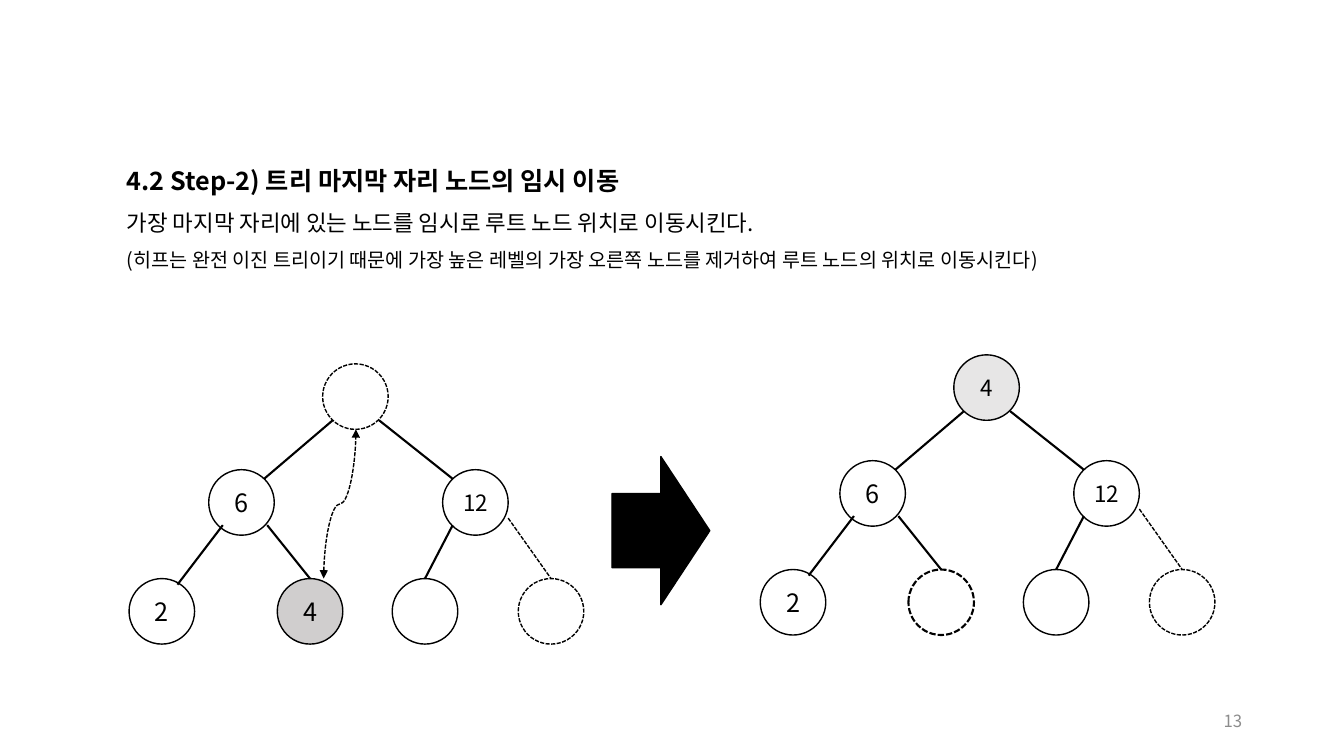
import pptx
import pptx.util
import pptx.dml.color
import pptx.enum.dml
import pptx.enum.shapes
import pptx.enum.text
import pptx.oxml.ns
import lxml.etree

PX = 9144  # 100 px to the inch
FONT = "Noto Sans CJK KR"
HUES = {"ink": "000000", "white": "FFFFFF", "grey": "D0CECE",
        "pale": "E7E6E6", "page": "8C8C8C"}

INTRO = [
    ("4.2 Step-2) 트리 마지막 자리 노드의 임시 이동", 18, True),
    ("가장 마지막 자리에 있는 노드를 임시로 루트 노드 위치로 이동시킨다.", 16, False),
    ("(히프는 완전 이진 트리이기 때문에 가장 높은 레벨의 가장 오른쪽 노드를 제거하여 "
     "루트 노드의 위치로 이동시킨다)", 14, False),
]
SIZE = 65
SPOTS = {"root": (320, 361), "left": (207, 466), "right": (439, 466),
         "ll": (128, 574), "lr": (275, 574), "rl": (389, 574), "rr": (514, 574)}
# start, end, node whose top the line joins, width, dashed
EDGES = [
    ((330, 417), (262, 475), None, 1.5, False),
    ((376, 417), (449, 475), None, 1.5, False),
    ((221, 521), (176, 580), None, 1.5, False),
    ((265, 521), (307, 574), "lr", 1.5, False),
    ((449, 521), (421, 574), "rl", 1.5, False),
    ((504, 514), (547, 574), "rr", 1, True),
]
# node: text, text size, fill, line width, dashed
SHARED = {
    "left": ("6", 18, None, 1, False),
    "right": ("12", 16, None, 1, False),
    "ll": ("2", 18, None, 1, False),
    "rl": ("", 18, "white", 1, False),
    "rr": ("", 18, None, 1, True),
}
TREES = [
    ((0, 0), {"root": ("", 18, None, 1, True),
              "lr": ("4", 18, "grey", 1, False)}),
    ((626, -9), {"root": ("4", 16, "pale", 1, False),
                 "lr": ("", 18, None, 1.5, True)}),
]

FORMS = pptx.enum.shapes.MSO_SHAPE
LINKS = pptx.enum.shapes.MSO_CONNECTOR
ALIGN = pptx.enum.text.PP_ALIGN
MIDDLE = pptx.enum.text.MSO_ANCHOR.MIDDLE

deck = pptx.Presentation()
deck.slide_width, deck.slide_height = 1333 * PX, 750 * PX
slide = deck.slides.add_slide(deck.slide_layouts[6])
shapes = slide.shapes


def emu(*nums):
    return [round(n * PX) for n in nums]


def rgb(name):
    return pptx.dml.color.RGBColor.from_string(HUES[name])


def sub(parent, tag, **attrs):
    return lxml.etree.SubElement(parent, pptx.oxml.ns.qn(tag), **attrs)


def style(para, size, hue="ink", bold=False):
    for run in para.runs:
        font = run.font
        font.name, font.size, font.bold = FONT, pptx.util.Pt(size), bold
        font.color.rgb = rgb(hue)
        sub(font._element, "a:ea", typeface=FONT)


def stroke(line, width, dashed):
    line.color.rgb = rgb("ink")
    line.width = pptx.util.Pt(width)
    if dashed:
        line.dash_style = pptx.enum.dml.MSO_LINE.SQUARE_DOT


def solid(form, box, fill, width=1, dashed=False):
    shape = shapes.add_shape(form, *emu(*box))
    shape.shadow.inherit = False
    if fill:
        shape.fill.solid()
        shape.fill.fore_color.rgb = rgb(fill)
    else:
        shape.fill.background()
    stroke(shape.line, width, dashed)
    return shape


def node(x, y, text, size, fill, width, dashed):
    shape = solid(FORMS.OVAL, (x, y, SIZE, SIZE), fill, width, dashed)
    if text:
        frame = shape.text_frame
        frame.margin_left = frame.margin_right = 0
        frame.margin_top = frame.margin_bottom = 0
        frame.vertical_anchor = MIDDLE
        frame.text = text
        frame.paragraphs[0].alignment = ALIGN.CENTER
        style(frame.paragraphs[0], size)
    return shape


def link(kind, start, end, width, dashed):
    line = shapes.add_connector(kind, *emu(*start, *end))
    stroke(line.line, width, dashed)
    sub(line._element.spPr, "a:effectLst")
    return line


def tree(shift, own):
    dx, dy = shift
    nodes = {}
    for name, look in {**SHARED, **own}.items():
        x, y = SPOTS[name]
        nodes[name] = node(x + dx, y + dy, *look)
    for (x1, y1), (x2, y2), child, width, dashed in EDGES:
        line = link(LINKS.STRAIGHT, (x1 + dx, y1 + dy), (x2 + dx, y2 + dy),
                    width, dashed)
        if child:
            line.end_connect(nodes[child], 0)


def swap():
    """Curved two-headed arrow between the last node and the root."""
    line = link(LINKS.CURVE, (411, 516), (263, 484), 1, True)
    line._element.spPr.xfrm.set("rot", "5400000")
    for tag in ("a:headEnd", "a:tailEnd"):
        sub(line.line._get_or_add_ln(), tag, type="triangle")


def intro():
    frame = shapes.add_textbox(*emu(116, 144, 1031, 128)).text_frame
    frame.word_wrap = True
    frame.auto_size = pptx.enum.text.MSO_AUTO_SIZE.SHAPE_TO_FIT_TEXT
    frame.text = "\n".join(text for text, _, _ in INTRO)
    for para, (_, size, bold) in zip(frame.paragraphs, INTRO):
        para.line_spacing = 1.5
        style(para, size, bold=bold)


def number():
    frame = shapes.add_textbox(*emu(942, 695, 300, 40)).text_frame
    frame.word_wrap = True
    frame.vertical_anchor = MIDDLE
    frame.text = "13"
    frame.paragraphs[0].alignment = ALIGN.RIGHT
    style(frame.paragraphs[0], 12, "page")


intro()
for shift, own in TREES:
    tree(shift, own)
swap()
solid(FORMS.RIGHT_ARROW, (607, 453, 97, 147), "ink")
number()
deck.save("out.pptx")
